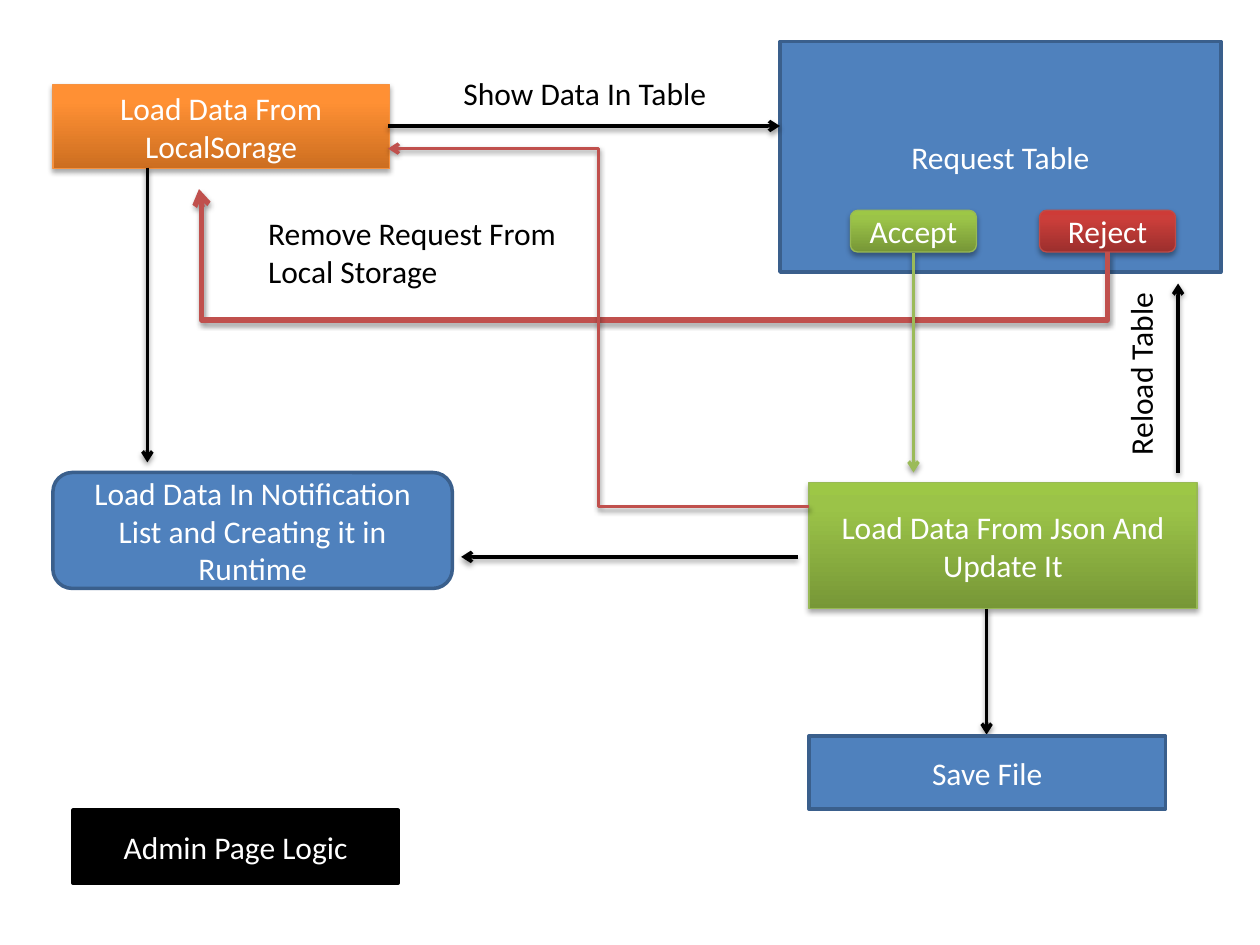
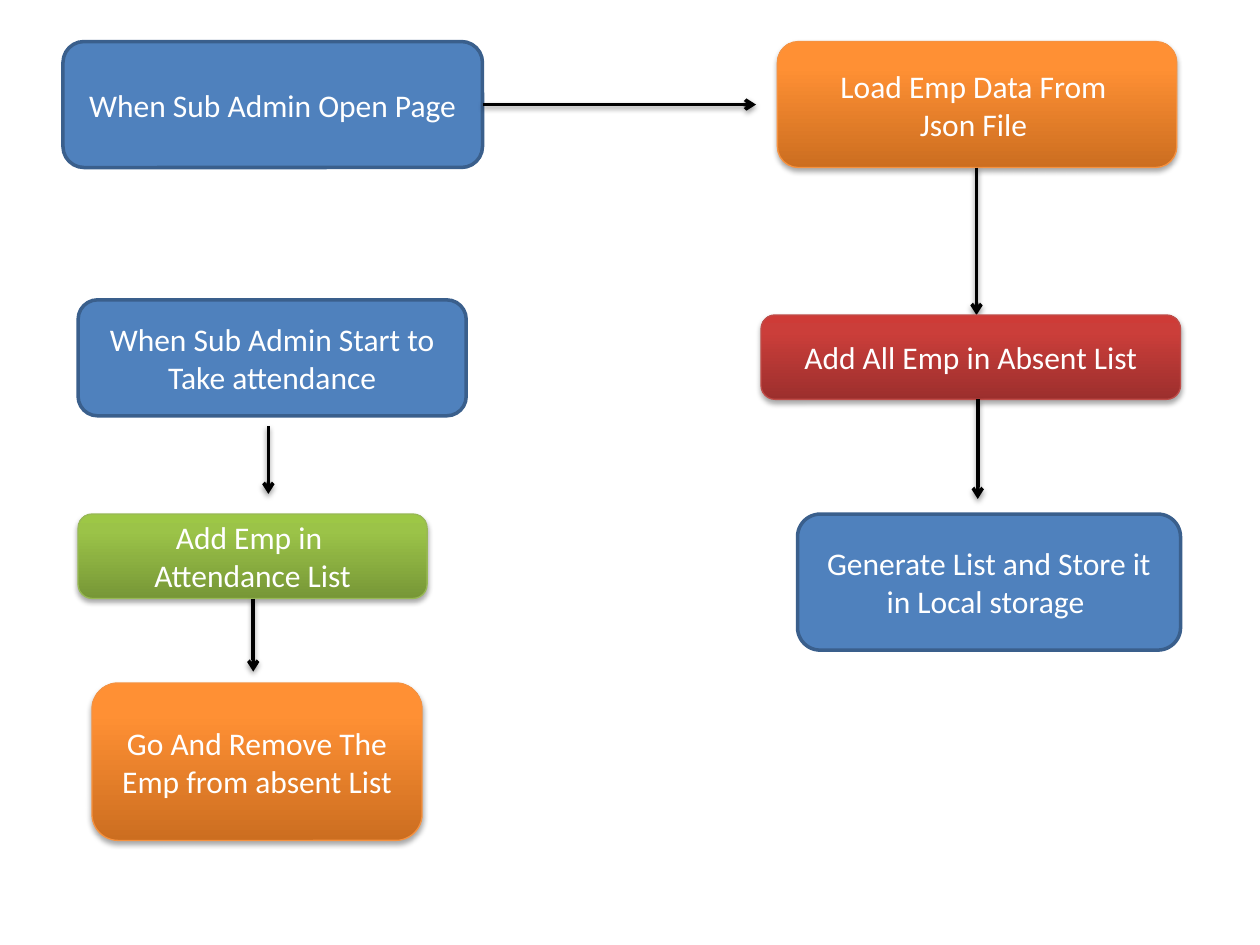
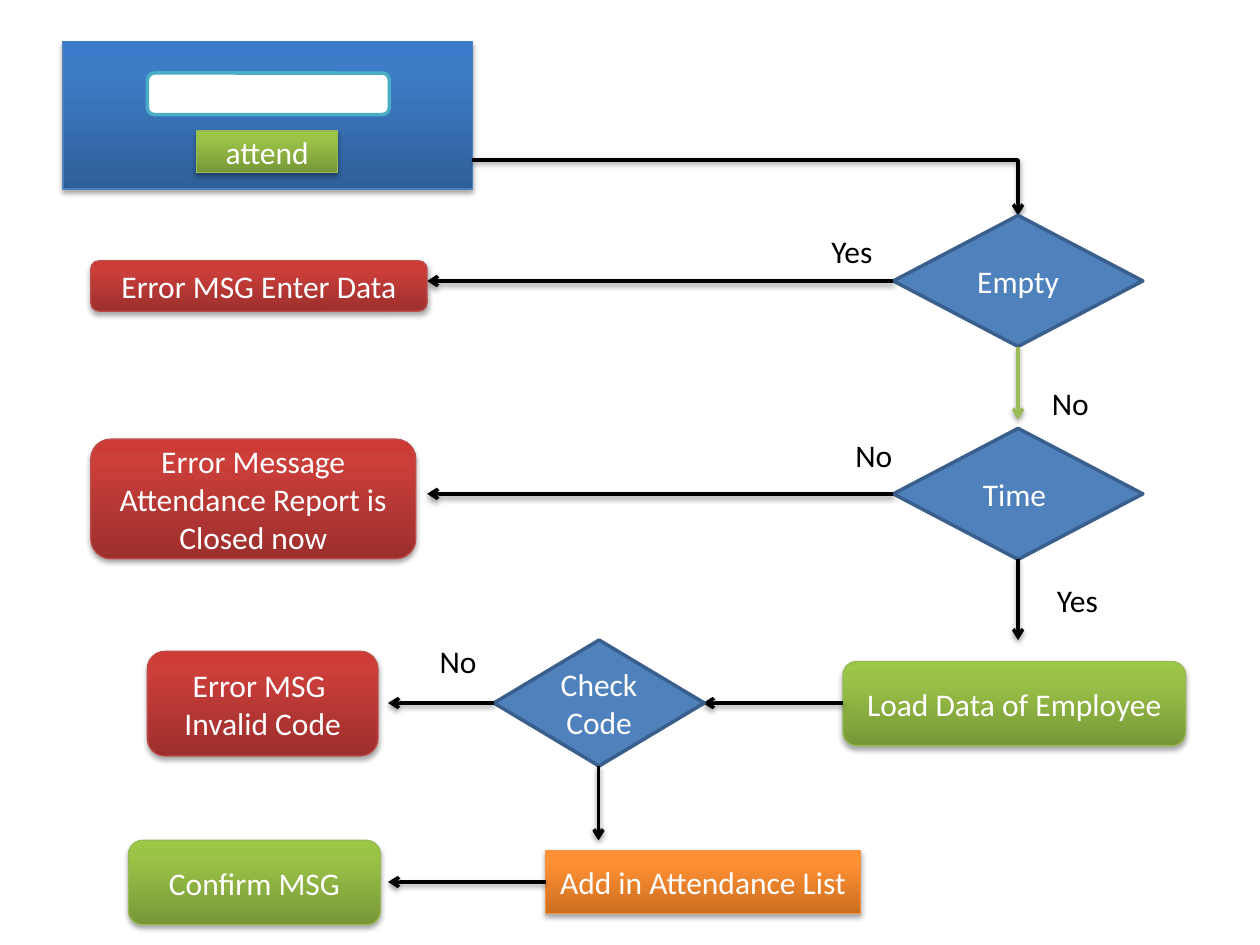
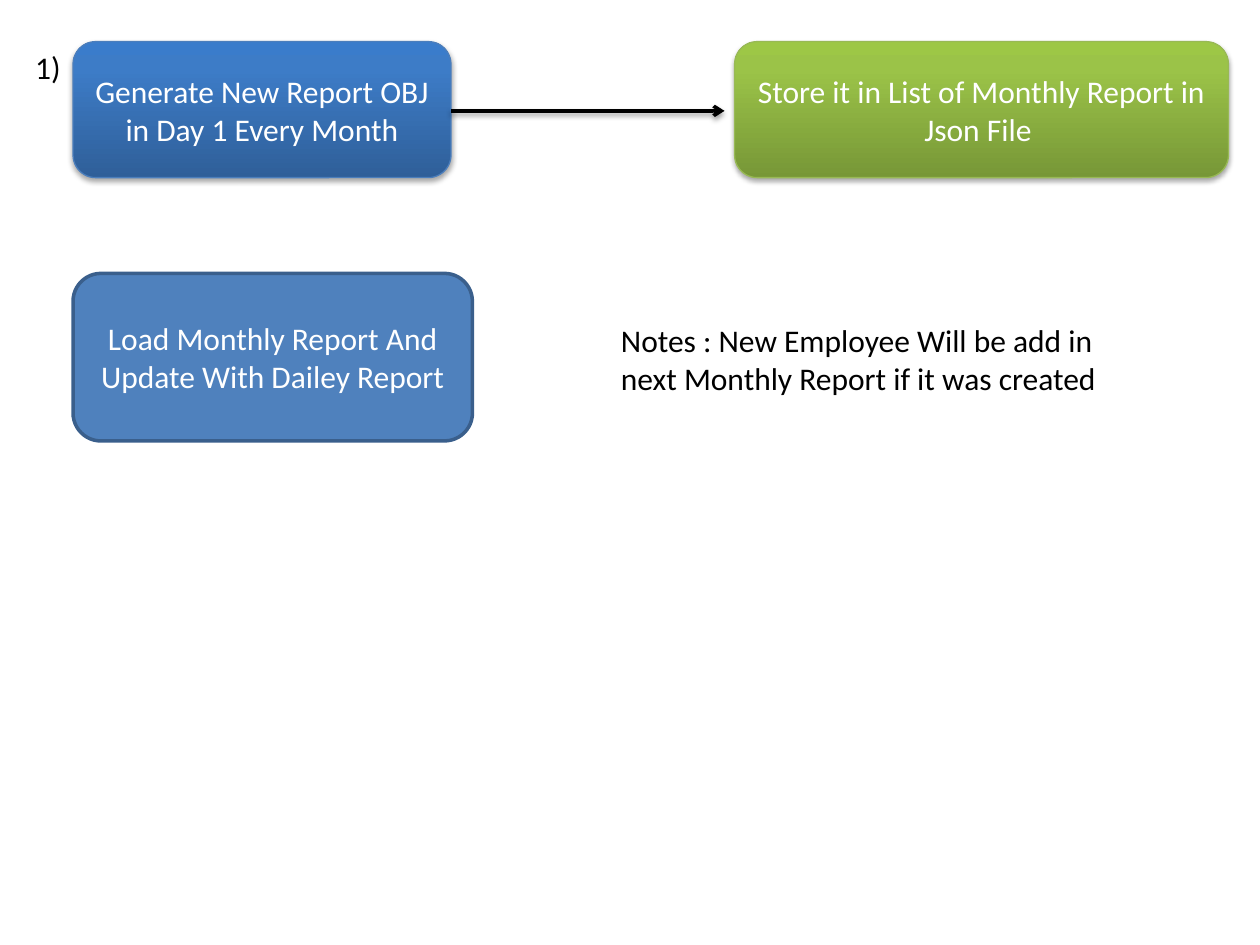
from dataclasses import dataclass
from lxml import etree
from pptx import Presentation
from pptx.dml.color import RGBColor
from pptx.enum.shapes import MSO_CONNECTOR, MSO_SHAPE
from pptx.enum.text import MSO_ANCHOR, MSO_AUTO_SIZE, PP_ALIGN
from pptx.oxml.ns import qn
from pptx.slide import Slide
from pptx.util import Inches, Pt

RECT, ROUND = MSO_SHAPE.RECTANGLE, MSO_SHAPE.ROUNDED_RECTANGLE
DECISION = MSO_SHAPE.FLOWCHART_DECISION
STRAIGHT, ELBOW = MSO_CONNECTOR.STRAIGHT, MSO_CONNECTOR.ELBOW
MIDDLE, CENTER = MSO_ANCHOR.MIDDLE, PP_ALIGN.CENTER
FIT_TEXT = MSO_AUTO_SIZE.SHAPE_TO_FIT_TEXT
COLORS = {
    "black": "000000", "white": "FFFFFF", "blue": "4F81BD", "blue_edge": "3A5F8C",
    "aqua": "4BACC6", "red": "C0504D", "green": "9BBB59",
}
FLAT = {
    "blue": ("blue", "blue_edge"),
    "black": ("black", "black"),
    "field": ("white", "aqua"),
}
GLOSSY = {
    "orange": ("CC6E20", "FF9034", "FF9136", "F69240"),
    "red": ("9C2F2D", "CB3E3A", "CE3B37", "BF4C48"),
    "green": ("779737", "9BC348", "9DC746", "98B955"),
    "navy": ("2F5F99", "3D7CC7", "3A7CCB", "4B7EBC"),
}
STOPS = (0, 80, 100)
FONT = {"name": "Calibri", "size": Pt(18)}


def rgb(key):
    """Return the named colour."""
    return RGBColor.from_string(COLORS[key])


def apply(target, formats):
    """Set each format value on the target."""
    for attribute, setting in formats.items():
        setattr(target, attribute, setting)


def child(parent, tag, **attributes):
    """Append a drawing element with the given attributes."""
    element = etree.SubElement(parent, qn(tag))
    for key, setting in attributes.items():
        element.set(key, str(setting))
    return element


def add_shadow(properties, distance, opacity):
    """Cast a soft shadow straight down."""
    shadow = child(child(properties, "a:effectLst"), "a:outerShdw", blurRad=Pt(3.1),
                   dist=Pt(distance), dir=5400000, rotWithShape=0)
    child(child(shadow, "a:srgbClr", val=COLORS["black"]), "a:alpha", val=opacity * 1000)


def paint_glossy(shape, colors):
    """Fill a shape with a vertical gloss, a thin edge and a shadow."""
    shape.fill.gradient()
    gradient = shape._element.spPr.find(qn("a:gradFill"))
    stops = gradient.find(qn("a:gsLst"))
    stops.clear()
    for position, color in zip(STOPS, colors):
        child(child(stops, "a:gs", pos=position * 1000), "a:srgbClr", val=color)
    shape.fill.gradient_angle = 90
    shape.line.color.rgb = RGBColor.from_string(colors[-1])
    shape.line.width = Pt(0.75)
    add_shadow(shape._element.spPr, 1.8, 35)


def paint_flat(shape, fill, edge):
    """Fill a shape with one colour and a two point edge."""
    shape.shadow.inherit = False
    shape.fill.solid()
    shape.fill.fore_color.rgb = rgb(fill)
    shape.line.color.rgb = rgb(edge)
    shape.line.width = Pt(2)


def write(frame, text, color, **paragraph_formats):
    """Write lines of text in the shared font."""
    frame.text = text
    for paragraph in frame.paragraphs:
        apply(paragraph, paragraph_formats)
        apply(paragraph.font, FONT)
        paragraph.font.color.rgb = rgb(color)


@dataclass
class Region:
    """A part of a slide whose contents are placed from its top left corner."""
    slide: Slide
    left: float
    top: float

    def place(self, x, y):
        """Turn a point of the region into a point of the slide."""
        return Inches(self.left + x), Inches(self.top + y)

    def node(self, text, style, x, y, width, height, outline=ROUND):
        """Draw one step of the flow."""
        step = self.slide.shapes.add_shape(
            outline, *self.place(x, y), Inches(width), Inches(height))
        if style in GLOSSY:
            paint_glossy(step, GLOSSY[style])
        else:
            paint_flat(step, *FLAT[style])
        apply(step.text_frame, {"word_wrap": True, "vertical_anchor": MIDDLE})
        if text:
            write(step.text_frame, text, "white", alignment=CENTER)

    def label(self, text, x, y, width, height=0.4, wrap=False, rotation=0):
        """Write a caption beside an arrow."""
        caption = self.slide.shapes.add_textbox(
            *self.place(x, y), Inches(width), Inches(height))
        caption.rotation = rotation
        apply(caption.text_frame, {"word_wrap": wrap, "auto_size": FIT_TEXT})
        write(caption.text_frame, text, "black")

    def arrow(self, start, end, color="black", kind=STRAIGHT, width=2):
        """Draw an arrow between two points."""
        link = self.slide.shapes.add_connector(kind, *self.place(*start), *self.place(*end))
        link.line.color.rgb = rgb(color)
        link.line.width = Pt(width)
        properties = link._element.spPr
        child(properties.find(qn("a:ln")), "a:tailEnd", type="arrow")
        add_shadow(properties, 1.6, 38)
        return link

    def corner_arrow(self, start, end):
        """Draw an arrow that runs across and then down."""
        link = self.arrow(start, end, kind=ELBOW)
        link._element.spPr.find(qn("a:prstGeom")).set("prst", "bentConnector2")

    def return_arrow(self, start, end, color, width, dip, reach):
        """Draw an arrow that dips below its start and climbs back up to the left."""
        link = self.arrow(start, end, color, ELBOW, width)
        run, rise = link.width, link.height
        apply(link, {"left": link.left + (run - rise) // 2,
                     "top": link.top + (rise - run) // 2,
                     "width": rise, "height": run})
        frame = link._element.spPr.find(qn("a:xfrm"))
        for key, setting in {"rot": "5400000", "flipH": "1", "flipV": "0"}.items():
            frame.set(key, setting)
        geometry = link._element.spPr.find(qn("a:prstGeom"))
        geometry.set("prst", "bentConnector4")
        guides = geometry.find(qn("a:avLst"))
        if guides is None:
            guides = child(geometry, "a:avLst")
        for name, ratio in (("adj1", -dip), ("adj2", reach)):
            child(guides, "a:gd", name=name, fmla=f"val {round(ratio * 100000)}")


def request_table(region):
    """Draw the request table with its two buttons."""
    region.node("Request Table", "blue", 0, 0, 3.5, 1.83, RECT)
    region.node("Reject", "red", 2.06, 1.34, 1.08, 0.33)
    region.node("Accept", "green", 0.56, 1.34, 1, 0.33)


def storage_flow(region):
    """Draw the steps that read from local storage."""
    region.node("Load Data From LocalSorage", "orange", 0, 0, 2.67, 0.67, RECT)
    region.arrow((2.66, 0.33), (5.77, 0.33))
    region.label("Show Data In Table", 3.16, -0.13, 2.15)
    region.return_arrow((8.37, 1.33), (1.16, 0.83), "red", 3, dip=1.08, reach=0.997)
    region.label("Remove Request From Local Storage", 1.61, 0.98, 2.62, 0.71, wrap=True)
    region.node("Load Data In Notification List and Creating it in Runtime",
                "blue", 0, 3.08, 3.17, 0.92)
    region.arrow((0.75, 0.66), (0.75, 3))


def update_flow(region):
    """Draw the steps that follow an accepted request."""
    region.arrow((0.83, -1.82), (0.83, -0.08), "green")
    region.node("Load Data From Json And Update It", "green", 0, 0, 3.08, 1, RECT)
    region.arrow((1.41, 1), (1.41, 2))
    region.node("Save File", "blue", 0, 2.01, 2.83, 0.58, RECT)
    region.arrow((0, 0.19), (-3.34, -2.65), "red", ELBOW)
    region.arrow((-0.09, 0.59), (-2.76, 0.59))
    region.arrow((2.93, -0.08), (2.93, -1.58))
    region.label("Reload Table", 1.88, -1.07, 1.5, rotation=270)


def page_badge(region):
    """Draw the badge that names the page."""
    region.node("Admin Page Logic", "black", 0, 0, 2.58, 0.58, RECT)


def opening_flow(region):
    """Draw what happens when the page opens."""
    region.node("When Sub Admin Open Page", "blue", 0, 0, 3.33, 1)
    region.arrow((3.33, 0.5), (5.5, 0.5))
    region.node("Load Emp Data From \nJson File ", "orange", 5.67, 0, 3.17, 1)
    region.arrow((7.25, 1), (7.25, 2.17))
    region.node("Add All Emp in Absent List", "red", 5.54, 2.17, 3.33, 0.67)
    region.arrow((7.26, 2.84), (7.26, 3.63))
    region.node("Generate List and Store it in Local storage ", "blue", 5.83, 3.75, 3.04, 1.08)


def attendance_flow(region):
    """Draw how attendance is taken."""
    region.node("When Sub Admin Start to Take attendance", "blue", 0, 0, 3.08, 0.92)
    region.arrow((1.51, 1), (1.51, 1.54))
    region.node("Add Emp in \nAttendance List", "green", 0, 1.7, 2.77, 0.67)
    region.arrow((1.39, 2.37), (1.39, 2.95))
    region.node("Go And Remove The Emp from absent List", "orange", 0.11, 3.04, 2.62, 1.25)


def attend_form(region):
    """Draw the form with its field, its button and its way out."""
    region.node("", "navy", 0, 0, 3.25, 1.17, RECT)
    region.node("", "field", 0.67, 0.25, 1.92, 0.33)
    region.node("attend", "green", 1.06, 0.71, 1.12, 0.33, RECT)
    region.corner_arrow((3.25, 0.94), (7.58, 1.38))


def decision_row(region, question, message, message_size, fail, go_on, color, drop):
    """Draw a question with its error to the left and its way on below."""
    middle, width, height = 0.52, *message_size
    region.node(question, "blue", 6.37, 0, 1.98, 1.04, DECISION)
    region.arrow((6.37, middle), (2.67, middle))
    region.node(message, "red", 0, middle - height / 2 + 0.04, width, height)
    region.label(*fail)
    region.arrow((7.36, 1.04), (7.36, 1.04 + drop), color)
    region.label(*go_on)


def code_check(region):
    """Draw the code check and its two outcomes."""
    region.node("Load Data of Employee", "green", 5.67, 0.17, 2.72, 0.67)
    region.arrow((5.67, 0.5), (4.56, 0.5))
    region.node("Check \nCode", "blue", 2.9, 0, 1.67, 1, DECISION)
    region.arrow((2.9, 0.5), (2.06, 0.5))
    region.node("Error MSG \nInvalid Code", "red", 0.15, 0.09, 1.83, 0.83)
    region.label("No", 2.37, -0.03, 0.5)
    region.arrow((3.73, 1), (3.73, 1.59))
    region.node("Add in Attendance List", "orange", 3.31, 1.67, 2.5, 0.5, RECT)
    region.arrow((3.31, 1.92), (2.06, 1.92))
    region.node("Confirm MSG", "green", 0, 1.59, 2, 0.67)


def report_flow(region):
    """Draw how the monthly report is made and updated."""
    region.node("Generate New Report OBJ in Day 1 Every Month", "navy", 0, 0, 3, 1.08)
    region.arrow((3, 0.55), (5.17, 0.55))
    region.node("Store it in List of Monthly Report in Json File ", "green", 5.25, 0, 3.92, 1.08)
    region.label("1)", -0.4, 0, 0.41)
    region.node("Load Monthly Report And Update With Dailey Report", "blue", 0, 1.84, 3.17, 1.33)
    region.label("Notes : New Employee Will be add in next Monthly Report if it was created",
                 4.25, 2.17, 4.25, 0.71, wrap=True)


def admin_slide(slide):
    """Build the admin page logic."""
    request_table(Region(slide, 6.19, 0.33))
    storage_flow(Region(slide, 0.42, 0.67))
    update_flow(Region(slide, 6.42, 3.83))
    page_badge(Region(slide, 0.58, 6.43))


def sub_admin_slide(slide):
    """Build the sub admin flows."""
    opening_flow(Region(slide, 0.5, 0.33))
    attendance_flow(Region(slide, 0.62, 2.38))


def attend_slide(slide):
    """Build the checks behind the attend button."""
    attend_form(Region(slide, 0.5, 0.33))
    decision_row(Region(slide, 0.72, 1.71), "Empty", "Error MSG Enter Data", (2.67, 0.4),
                 ("Yes", 5.78, 0.08, 0.53), ("No", 7.53, 1.29, 0.5), "green", 0.58)
    decision_row(Region(slide, 0.72, 3.4), "Time ",
                 "Error Message Attendance Report is Closed now", (2.58, 0.95),
                 ("No", 5.97, 0.01, 0.5), ("Yes", 7.57, 1.16, 0.53), "black", 0.64)
    code_check(Region(slide, 1.02, 5.08))


def report_slide(slide):
    """Build the monthly report flow."""
    report_flow(Region(slide, 0.58, 0.33))


def main():
    """Build and save the presentation."""
    deck = Presentation()
    apply(deck, {"slide_width": Inches(10), "slide_height": Inches(7.5)})
    blank = deck.slide_layouts[6]
    for build in (admin_slide, sub_admin_slide, attend_slide, report_slide):
        build(deck.slides.add_slide(blank))
    deck.save("out.pptx")


main()
